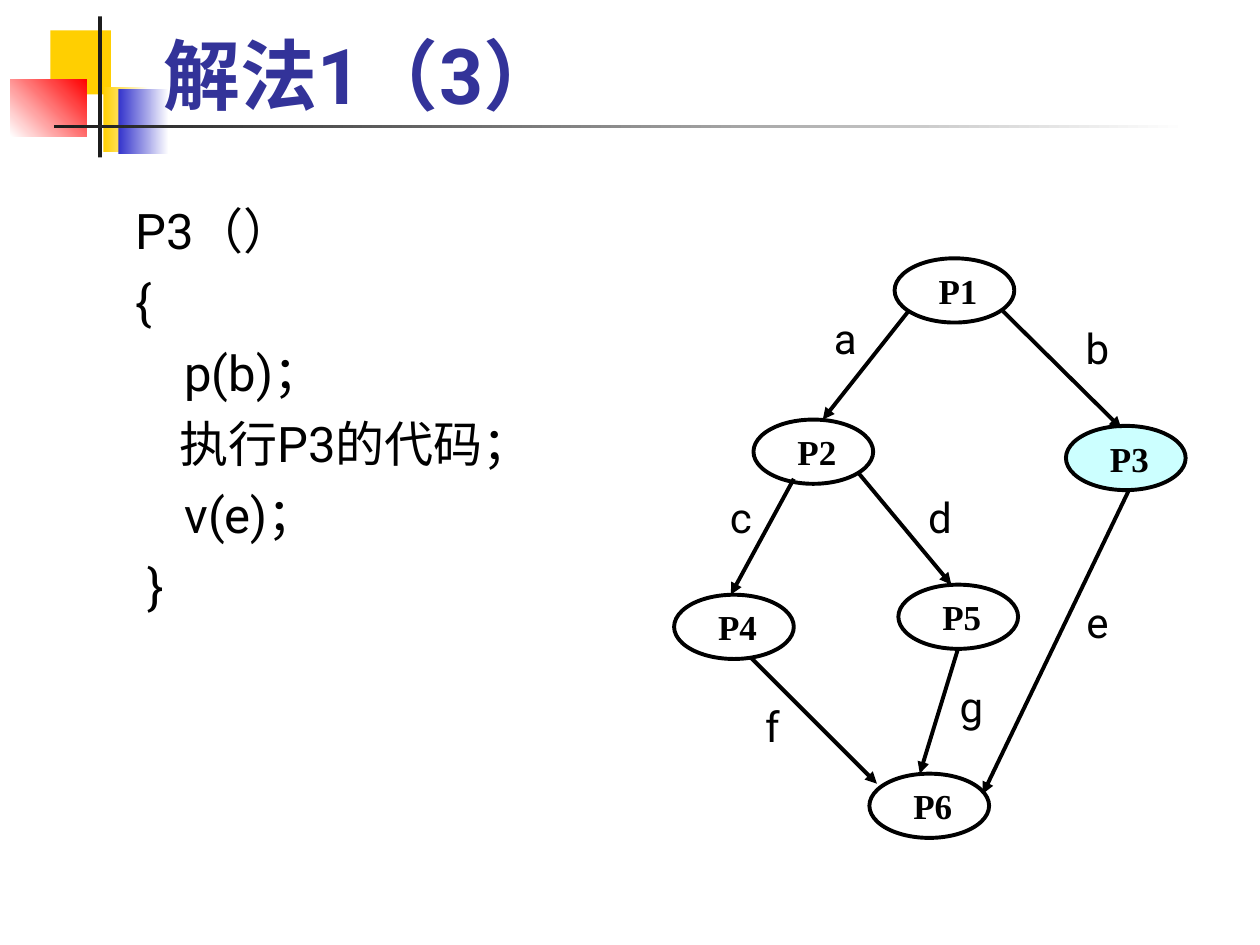
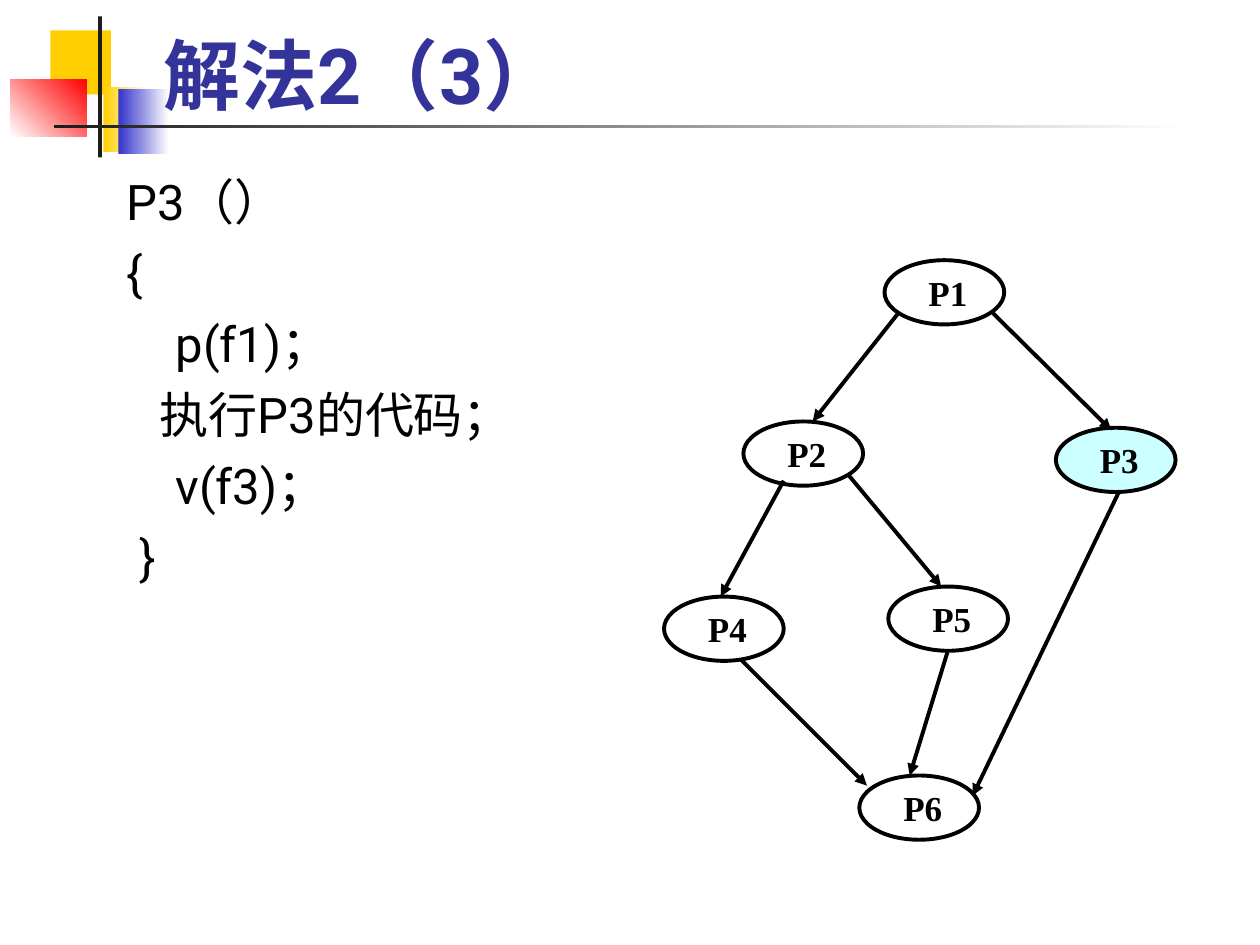
from dataclasses import dataclass

from lxml.etree import SubElement
from pptx import Presentation
from pptx.dml.color import RGBColor
from pptx.enum.shapes import MSO_CONNECTOR, MSO_SHAPE
from pptx.enum.text import MSO_ANCHOR, PP_ALIGN
from pptx.oxml.ns import qn
from pptx.util import Inches, Pt


@dataclass(frozen=True)
class Theme:
    body_font: str = "Roboto"
    node_font: str = "Times New Roman"
    title_size: int = 44
    code_size: int = 28
    label_size: int = 24
    node_size: int = 20
    line_width: float = 2.25
    title: str = "333399"
    ink: str = "000000"
    paper: str = "FFFFFF"
    highlight: str = "CCFFFF"
    yellow: str = "FFCF01"
    blue: str = "3333CC"
    red: str = "FF0000"
    rule: str = "1C1C1C"


THEME = Theme()

# Left, top, width, height, colours (two make a gradient), gradient angle
DECORATION = [
    (0.4, 0.24, 0.48, 0.51, [THEME.yellow], 0),
    (0.82, 0.69, 0.36, 0.52, [THEME.yellow, THEME.paper], 0),
    (0.94, 0.71, 0.4, 0.51, [THEME.blue, THEME.paper], 0),
    (0.08, 0.63, 0.61, 0.45, [THEME.paper, THEME.red], 45),
    (0.78, 0.13, 0.03, 1.12, [THEME.rule], 0),
    (0.43, 0.99, 9, 0.03, [THEME.rule, THEME.paper], 0),
]
TITLE_BOX = (1.2, 0.17, 8.52, 0.83)

NODE_SIZE = (0.95, 0.51)
NODE_INDENT = 0.21
NODES = {
    "P1": (7.1, 2.05),
    "P2": (5.98, 3.33),
    "P3": (8.46, 3.38),
    "P4": (5.35, 4.72),
    "P5": (7.13, 4.64),
    "P6": (6.9, 6.14),
}
CURRENT_NODE = "P3"
EDGES = [
    ((7.21, 2.47), (6.53, 3.33)),
    ((7.96, 2.47), (8.9, 3.4)),
    ((6.3, 3.8), (5.8, 4.72)),
    ((6.81, 3.75), (7.55, 4.64)),
    ((8.96, 3.89), (7.8, 6.3)),
    ((5.96, 5.22), (6.96, 6.22)),
    ((7.6, 5.16), (7.3, 6.14)),
]
LABEL_SIZE = (0.5, 0.42)
SEMAPHORES = {
    "a": (6.46, 2.47),
    "b": (8.46, 2.55),
    "c": (5.63, 3.89),
    "d": (7.21, 3.89),
    "e": (8.46, 4.72),
    "f": (5.88, 5.55),
    "g": (7.46, 5.39),
}

SLIDES = [
    {
        "title": "解法1（3）",
        "code": ["P3（）", "{", "    p(b)；", "    执行P3的代码；", "    v(e)；", " }"],
        "code_box": (0.98, 1.54, 3.54, 3.8),
        "graph_shift": (0, 0),
        "semaphores": SEMAPHORES,
    },
    {
        "title": "解法2（3）",
        "code": ["P3（）", "{", "    p(f1)；", "   执行P3的代码；", "    v(f3)；", " }"],
        "code_box": (0.91, 1.31, 3.46, 3.65),
        "graph_shift": (-0.08, 0.015),
        "semaphores": {},
    },
]


def inches(values):
    return [Inches(value) for value in values]


def shifted(point, shift):
    return point[0] + shift[0], point[1] + shift[1]


def style(paragraph, size, color=THEME.ink, name=THEME.body_font, bold=False):
    font = paragraph.font
    font.size, font.name, font.bold = Pt(size), name, bold
    font.color.rgb = RGBColor.from_string(color)


def set_margins(frame, left=0):
    frame.margin_left = Inches(left)
    frame.margin_right = frame.margin_top = frame.margin_bottom = 0


def add_filled_shape(slide, kind, box, colors, angle=0):
    shape = slide.shapes.add_shape(kind, *inches(box))
    shape.shadow.inherit = False
    shape.line.fill.background()
    if len(colors) == 1:
        shape.fill.solid()
        shape.fill.fore_color.rgb = RGBColor.from_string(colors[0])
    else:
        shape.fill.gradient()
        shape.fill.gradient_angle = angle
        for stop, color in zip(shape.fill.gradient_stops, colors):
            stop.color.rgb = RGBColor.from_string(color)
    return shape


def draw_line(line):
    line.color.rgb = RGBColor.from_string(THEME.ink)
    line.width = Pt(THEME.line_width)


def add_title(slide, text):
    frame = slide.shapes.add_textbox(*inches(TITLE_BOX)).text_frame
    frame.word_wrap = True
    frame.vertical_anchor = MSO_ANCHOR.BOTTOM
    frame.text = text
    style(frame.paragraphs[0], THEME.title_size, THEME.title, bold=True)


def add_code(slide, lines, box):
    frame = slide.shapes.add_textbox(*inches(box)).text_frame
    frame.word_wrap = True
    frame.text = "\n".join(lines)
    for index, paragraph in enumerate(frame.paragraphs):
        if index:
            paragraph.space_before = Pt(7)
        style(paragraph, THEME.code_size)


def add_node(slide, name, position):
    color = THEME.highlight if name == CURRENT_NODE else THEME.paper
    node = add_filled_shape(slide, MSO_SHAPE.OVAL, (*position, *NODE_SIZE), [color])
    draw_line(node.line)
    frame = node.text_frame
    set_margins(frame, NODE_INDENT)
    frame.word_wrap = False
    frame.vertical_anchor = MSO_ANCHOR.MIDDLE
    frame.text = name
    frame.paragraphs[0].alignment = PP_ALIGN.LEFT
    style(frame.paragraphs[0], THEME.node_size, name=THEME.node_font, bold=True)


def add_arrow(slide, start, end):
    arrow = slide.shapes.add_connector(MSO_CONNECTOR.STRAIGHT, *inches((*start, *end)))
    draw_line(arrow.line)
    SubElement(arrow.line._get_or_add_ln(), qn("a:tailEnd"), type="triangle")
    SubElement(arrow._element.spPr, qn("a:effectLst"))


def add_label(slide, text, position):
    frame = slide.shapes.add_textbox(*inches((*position, *LABEL_SIZE))).text_frame
    set_margins(frame)
    frame.word_wrap = False
    frame.vertical_anchor = MSO_ANCHOR.MIDDLE
    frame.text = text
    frame.paragraphs[0].alignment = PP_ALIGN.CENTER
    style(frame.paragraphs[0], THEME.label_size)


def add_graph(slide, shift, semaphores):
    for name, position in NODES.items():
        add_node(slide, name, shifted(position, shift))
    for start, end in EDGES:
        add_arrow(slide, shifted(start, shift), shifted(end, shift))
    for name, position in semaphores.items():
        add_label(slide, name, shifted(position, shift))


def main():
    presentation = Presentation()
    presentation.slide_width, presentation.slide_height = Inches(10), Inches(7.5)
    blank_layout = presentation.slide_layouts[6]
    for content in SLIDES:
        slide = presentation.slides.add_slide(blank_layout)
        for *box, colors, angle in DECORATION:
            add_filled_shape(slide, MSO_SHAPE.RECTANGLE, box, colors, angle)
        add_title(slide, content["title"])
        add_code(slide, content["code"], content["code_box"])
        add_graph(slide, content["graph_shift"], content["semaphores"])
    presentation.save("out.pptx")


if __name__ == "__main__":
    main()
